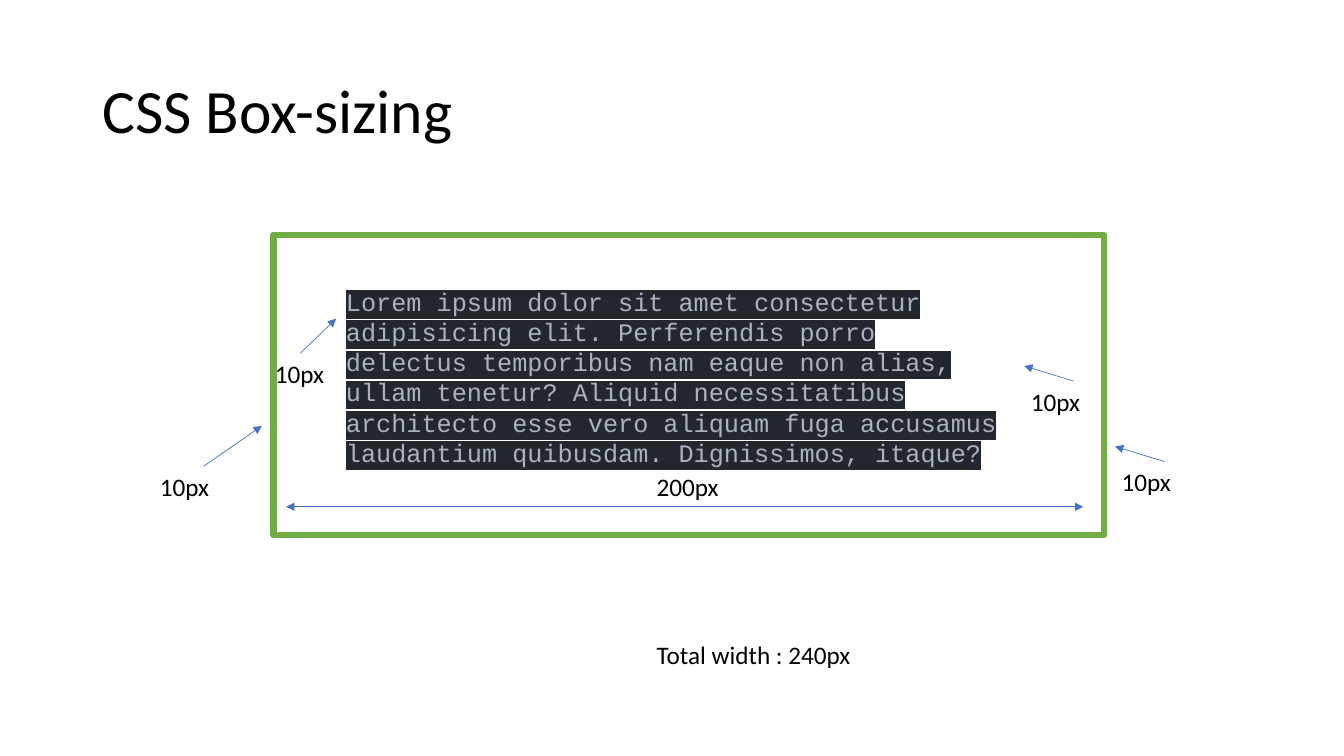
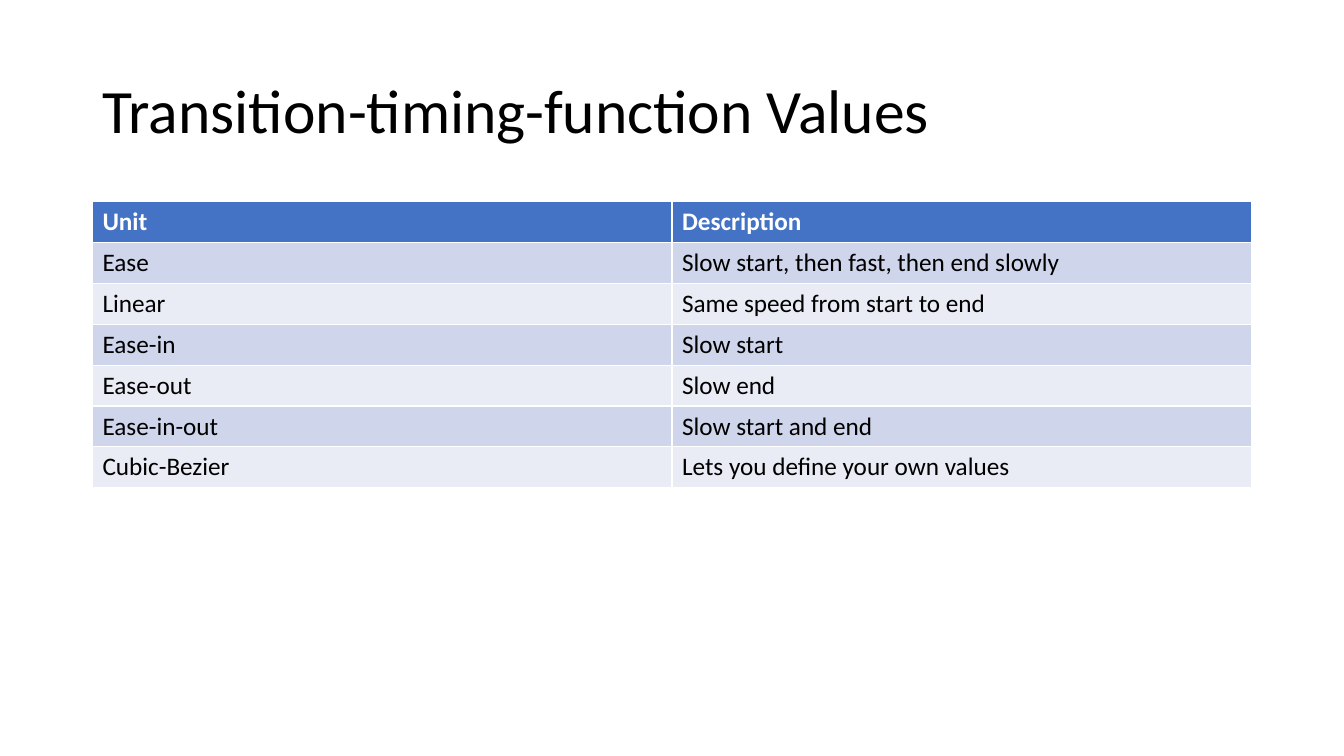
from lxml import etree
from pptx import Presentation
from pptx.dml.color import RGBColor
from pptx.enum import shapes, text
from pptx.oxml import ns
from pptx.util import Cm, Pt

BLACK, WHITE = "000000", "FFFFFF"
BLUE, GREEN = "4472C4", "70AD47"
CODE_TEXT, CODE_BACK = "ABB2BF", "23272E"
BANDS = ["E9EBF5", "CFD5EA"]


def rgb(value):
    return RGBColor.from_string(value)


def style_text(text_frame, size=18, color=BLACK, font="Calibri", bold=False):
    for paragraph in text_frame.paragraphs:
        for run in paragraph.runs:
            run.font.size = Pt(size)
            run.font.name = font
            run.font.bold = bold
            run.font.color.rgb = rgb(color)


presentation = Presentation()
presentation.slide_width, presentation.slide_height = Cm(33.87), Cm(19.05)
layout = presentation.slide_layouts.get_by_name("Title Only")
layout_title = layout.placeholders[0]
layout_title.left, layout_title.top = Cm(2.33), Cm(1.01)
layout_title.width, layout_title.height = Cm(29.21), Cm(3.68)

slides = []
for heading in ["CSS Box-sizing", "Transition-timing-function Values"]:
    slide = presentation.slides.add_slide(layout)
    text_frame = slide.shapes.title.text_frame
    text_frame.text = heading
    text_frame.vertical_anchor = text.MSO_ANCHOR.MIDDLE
    text_frame.paragraphs[0].alignment = text.PP_ALIGN.LEFT
    text_frame.paragraphs[0].line_spacing = 0.9
    style_text(text_frame, size=44)
    slides.append(slide)
box_slide, timing_slide = slides

content = box_slide.shapes.add_textbox(Cm(8.47), Cm(7.08), Cm(16.93), Cm(4.88))
content.text_frame.word_wrap = True
content.text_frame.text = (
    "Lorem ipsum dolor sit amet consectetur adipisicing elit. "
    "Perferendis porro delectus temporibus nam eaque non alias, "
    "ullam tenetur? Aliquid necessitatibus architecto esse vero "
    "aliquam fuga accusamus laudantium quibusdam. Dignissimos, itaque?"
)
style_text(content.text_frame, color=CODE_TEXT, font="Courier New")
latin = content.element.find(".//" + ns.qn("a:latin"))
highlight = etree.Element(ns.qn("a:highlight"))
etree.SubElement(highlight, ns.qn("a:srgbClr"), val=CODE_BACK)
latin.addprevious(highlight)

border = box_slide.shapes.add_shape(
    shapes.MSO_SHAPE.RECTANGLE, Cm(6.89), Cm(5.92), Cm(20.93), Cm(7.57)
)
border.shadow.inherit = False
border.fill.background()
border.line.color.rgb = rgb(GREEN)
border.line.width = Pt(4.5)

labels = [("200px", 16.3, 11.75, 2.08), ("Total width : 240px", 16.3, 15.98, 5.46)]
arrows = [(7.21, 12.77, 27.3, 12.77, ["a:headEnd", "a:tailEnd"])]
for label_left, start_x, start_y, end_x, end_y in [
    (3.78, 5.13, 11.75, 6.6, 10.73),
    (28.02, 29.34, 11.63, 28.1, 11.25),
    (25.73, 27.05, 9.6, 25.81, 9.22),
    (6.68, 7.57, 8.9, 8.47, 8.03),
]:
    labels.append(("10px", label_left, start_y, 1.75))
    arrows.append((start_x, start_y, end_x, end_y, ["a:tailEnd"]))

for start_x, start_y, end_x, end_y, heads in arrows:
    arrow = box_slide.shapes.add_connector(
        shapes.MSO_CONNECTOR.STRAIGHT, Cm(start_x), Cm(start_y), Cm(end_x), Cm(end_y)
    )
    arrow.line.color.rgb = rgb(BLUE)
    arrow.line.width = Pt(0.5)
    properties = arrow.element.spPr
    for head in heads:
        etree.SubElement(properties.find(ns.qn("a:ln")), ns.qn(head), type="triangle")
    etree.SubElement(properties, ns.qn("a:effectLst"))

for wording, left, top, width in labels:
    label = box_slide.shapes.add_textbox(Cm(left), Cm(top), Cm(width), Cm(1.02))
    label.text_frame.word_wrap = False
    label.text_frame.text = wording
    style_text(label.text_frame)

rows = [
    ("Unit", "Description"),
    ("Ease", "Slow start, then fast, then end slowly"),
    ("Linear", "Same speed from start to end"),
    ("Ease-in", "Slow start"),
    ("Ease-out", "Slow end"),
    ("Ease-in-out", "Slow start and end"),
    ("Cubic-Bezier", "Lets you define your own values"),
]
table = timing_slide.shapes.add_table(
    len(rows), 2, Cm(2.33), Cm(5.08), Cm(29.21), Cm(1.03) * len(rows)
).table
for row_index, row in enumerate(rows):
    is_header = row_index == 0
    for column_index, wording in enumerate(row):
        cell = table.cell(row_index, column_index)
        cell.text_frame.text = wording
        cell.fill.solid()
        cell.fill.fore_color.rgb = rgb(BLUE if is_header else BANDS[row_index % 2])
        style_text(cell.text_frame, color=WHITE if is_header else BLACK, bold=is_header)

presentation.save("out.pptx")
